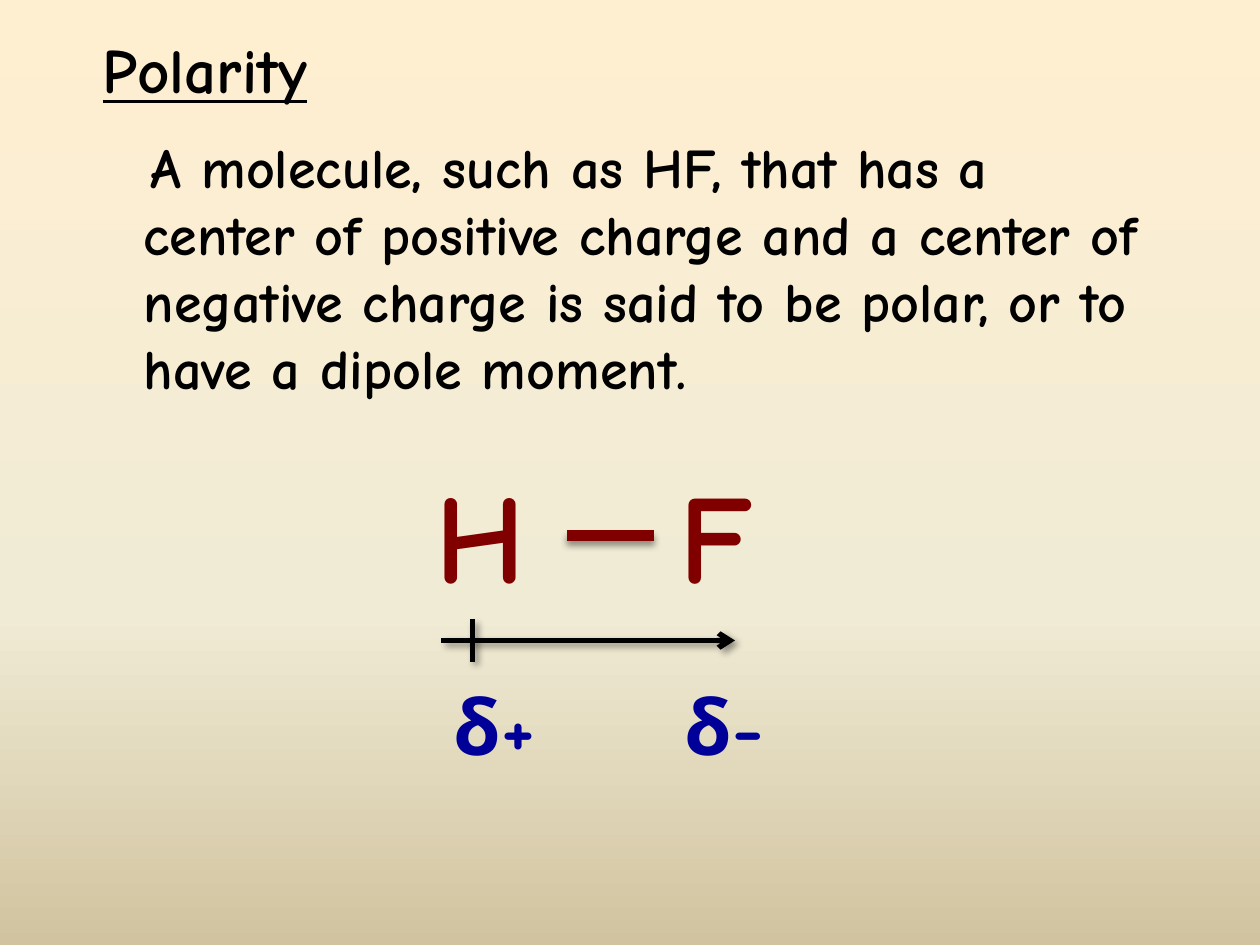
import copy
import pptx
import pptx.util
import pptx.dml.color
import pptx.enum.text
import pptx.enum.shapes
import pptx.oxml
import pptx.oxml.ns

Pt = pptx.util.Pt
HUES = {"ink": "000000", "atom": "800000", "charge": "000099",
        "top": "FFEFD1", "mid": "F0EBD5", "low": "D1C39F"}


def tint(name):
    """Return the named colour."""
    return pptx.dml.color.RGBColor.from_string(HUES[name])


def paint(slide):
    """Fill the background with a three-stop vertical gradient."""
    fill = slide.background.fill
    fill.gradient()
    fill.gradient_angle = 270
    stops = slide.element.find(".//" + pptx.oxml.ns.qn("a:gsLst"))
    stops.insert(1, copy.deepcopy(stops[0]))
    plan = (("top", 0), ("mid", 0.65), ("low", 1))
    for stop, (name, place) in zip(fill.gradient_stops, plan):
        stop.color.rgb = tint(name)
        stop.position = place


def write(slide, box, text, size, hue="ink"):
    """Add bold text in a box and return its frame."""
    frame = slide.shapes.add_textbox(*map(Pt, box)).text_frame
    frame.word_wrap = True
    frame.text = text
    font = frame.paragraphs[0].runs[0].font
    font.name, font.size, font.bold = "Comic Neue", Pt(size), True
    font.color.rgb = tint(hue)
    return frame


def rule(slide, ends, width, hue="ink", angle=45, arrow=False):
    """Draw a shadowed line, with an arrowhead if asked."""
    kind = pptx.enum.shapes.MSO_CONNECTOR.STRAIGHT
    line = slide.shapes.add_connector(kind, *map(Pt, ends))
    line.line.width = Pt(width)
    line.line.color.rgb = tint(hue)
    space = pptx.oxml.ns.nsdecls("a")
    if arrow:
        line.line._get_or_add_ln().append(
            pptx.oxml.parse_xml(f'<a:tailEnd {space} type="arrow"/>'))
    line._element.spPr.append(pptx.oxml.parse_xml(
        f'<a:effectLst {space}><a:outerShdw blurRad="{Pt(4)}" '
        f'dist="{Pt(3)}" dir="{angle * 60000}" rotWithShape="0">'
        f'<a:srgbClr val="{HUES["ink"]}"><a:alpha val="40000"/></a:srgbClr>'
        '</a:outerShdw></a:effectLst>'))


def head(slide, box):
    """Place the underlined title."""
    frame = write(slide, box, "Polarity", 36)
    frame.vertical_anchor = pptx.enum.text.MSO_ANCHOR.MIDDLE
    para = frame.paragraphs[0]
    para.alignment = pptx.enum.text.PP_ALIGN.CENTER
    para.runs[0].font.underline = True


def body(slide, box):
    """Place the definition with its indent."""
    text = ("A molecule, such as HF, that has a center of positive charge "
            "and a center of negative charge is said to be polar, or to "
            "have a dipole moment.")
    para = write(slide, box, text, 32).paragraphs[0]
    para.space_before = Pt(6.4)
    props = para._p.get_or_add_pPr()
    props.set("marL", str(Pt(27)))
    props.set("indent", str(Pt(4)))


def bond(slide, box):
    """Draw the HF bond, its dipole arrow and the partial charges."""
    left, top, wide, high = box
    for text, shift in (("H", 0), ("F", 139)):
        write(slide, (left + shift, top, 70, 94), text, 72, "atom")
    for text, shift in (("δ+", 10), ("δ-", 142)):
        write(slide, (left + shift, top + high - 60, 70, 60),
              text, 44, "charge")
    rule(slide, (left + 82, top + 48, left + 132, top + 48), 6, "atom", 90)
    axis = top + 108
    rule(slide, (left + 10, axis, left + 178, axis), 3, arrow=True)
    rule(slide, (left + 28, axis - 12, left + 28, axis + 12), 3)


def main():
    """Build and save the slide."""
    deck = pptx.Presentation()
    deck.slide_width, deck.slide_height = Pt(720), Pt(540)
    slide = deck.slides.add_slide(deck.slide_layouts[6])
    paint(slide)
    head(slide, (18, 12, 198, 54))
    body(slide, (48, 72, 618, 198))
    bond(slide, (242, 258, 212, 186))
    deck.save("out.pptx")


main()
